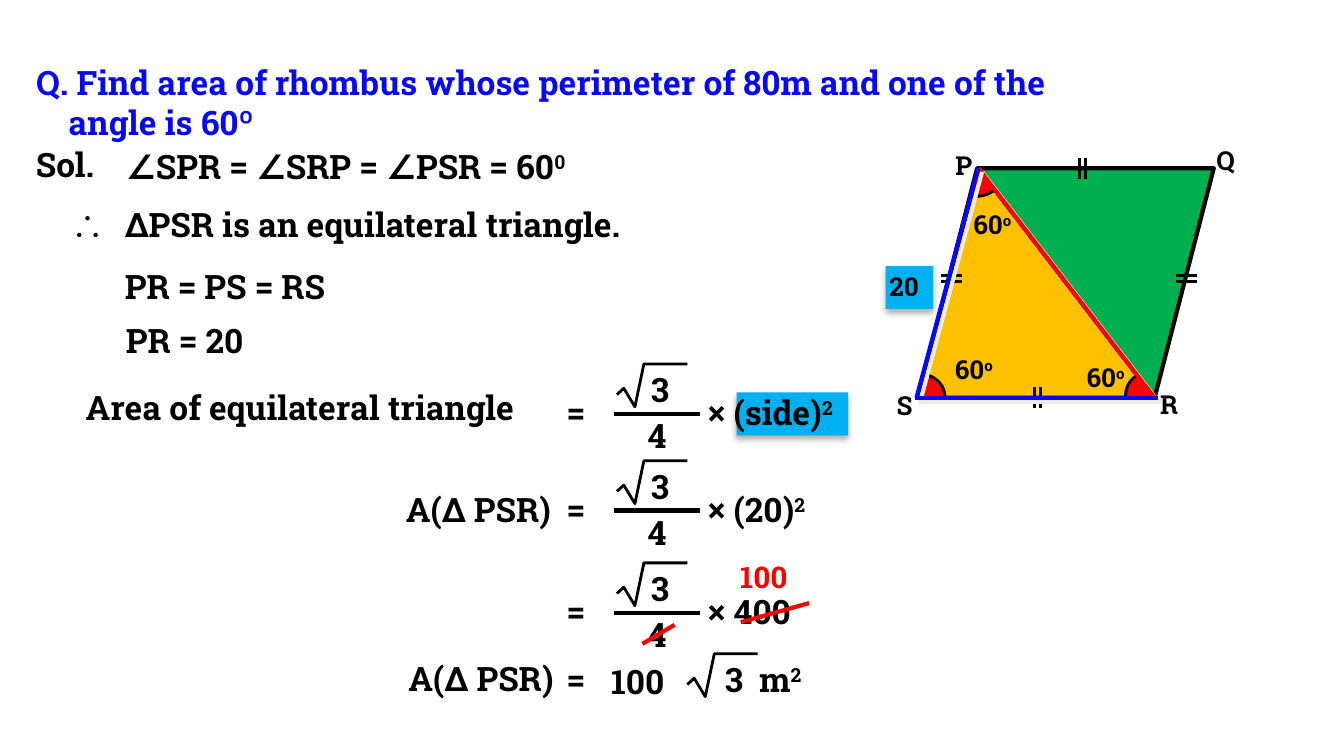
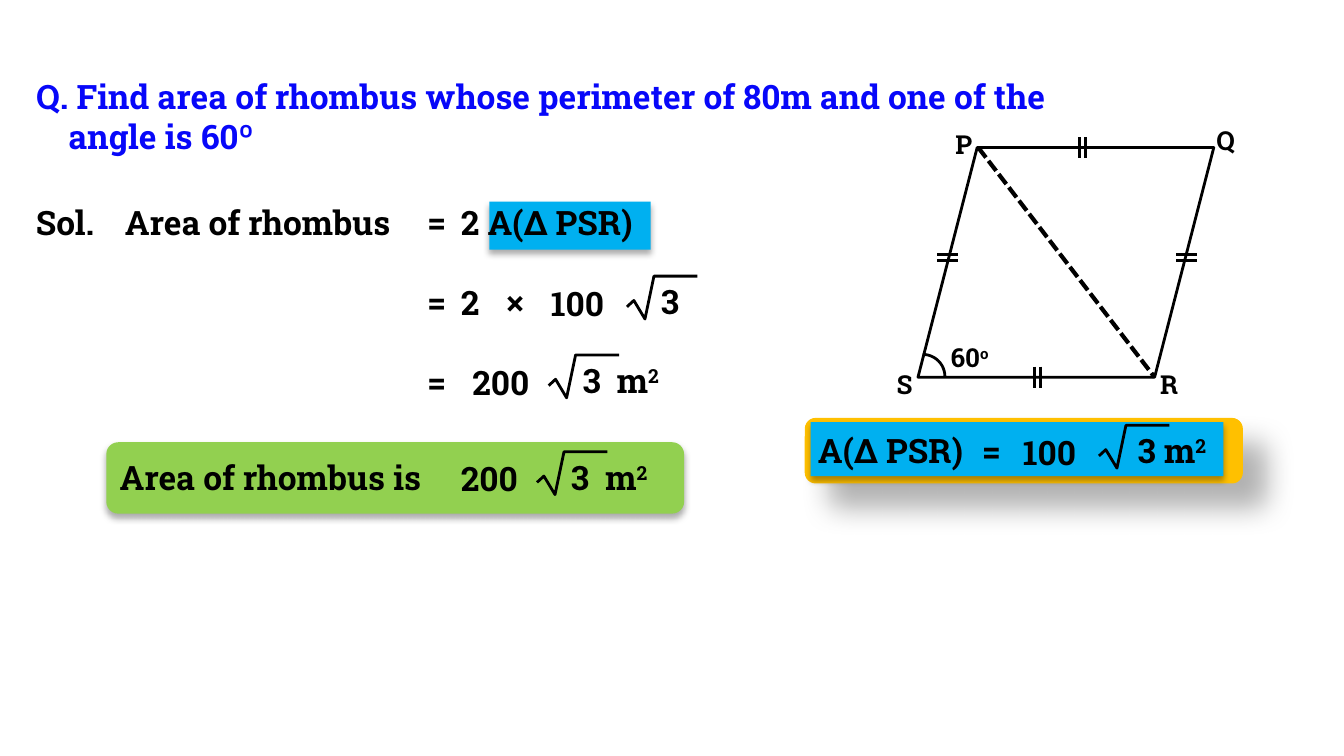
from lxml.etree import SubElement
from pptx import Presentation
from pptx.dml.color import RGBColor
from pptx.enum.dml import MSO_LINE
from pptx.enum.shapes import MSO_CONNECTOR, MSO_SHAPE
from pptx.enum.text import MSO_ANCHOR, MSO_AUTO_SIZE, PP_ALIGN
from pptx.oxml.ns import qn
from pptx.util import Cm, Pt

COLORS = {
    "black": "000000", "question": "0707F9", "red": "FF0000",
    "highlight": "00B0F0", "green": "00B050", "amber": "FFC000",
    "answer": "92D050", "line_shadow": "EEECE1",
}
FONT = "Roboto Slab"
QUESTION = ("Q. Find area of rhombus whose perimeter of 80m and one of the",
            "angle is 60º")
# colour, opacity in percent, blur, distance, angle
CARD_SHADOW = ("black", 32, 3.5, 2.2, 90)
DEEP_SHADOW = ("black", 30, 15, 18, 45)
LINE_SHADOW = ("line_shadow", 100, 0, 2.8, 45)

# Rhombus geometry in cm; heights are measured from side PQ.
RHOMBUS_LEFT, RHOMBUS_WIDTH, RHOMBUS_HEIGHT = 17.35, 5.59, 4.34
DIAGONAL_X = (18.49, 21.82)
CORNERS = (("P", 17.68, -0.48), ("Q", 22.63, -0.57),
           ("R", 21.56, 4.04), ("S", 16.56, 4.05))


def color(name):
    return RGBColor.from_string(COLORS[name])


def format_runs(paragraph, size, color_name, font_name=FONT):
    for run in paragraph.runs:
        run.font.name = font_name
        run.font.size = Pt(size)
        run.font.bold = True
        run.font.color.rgb = color(color_name)


def add_shadow(shape, shadow):
    """Replace the theme shadow by the given one, or by none."""
    properties = shape.element.spPr
    effects = properties.find(qn("a:effectLst"))
    if effects is None:
        effects = SubElement(properties, qn("a:effectLst"))
    if shadow:
        color_name, opacity, blur, distance, angle = shadow
        outer = SubElement(effects, qn("a:outerShdw"), blurRad=str(Pt(blur)),
                           dist=str(Pt(distance)), dir=str(angle * 60000),
                           algn="tl", rotWithShape="0")
        tint = SubElement(outer, qn("a:srgbClr"), val=COLORS[color_name])
        SubElement(tint, qn("a:alpha"), val=str(opacity * 1000))


def style_shape(shape, fill=None, line_width=None, shadow=None):
    shape.shadow.inherit = False
    if fill:
        shape.fill.solid()
        shape.fill.fore_color.rgb = color(fill)
    else:
        shape.fill.background()
    if line_width:
        shape.line.color.rgb = color("black")
        shape.line.width = Pt(line_width)
    else:
        shape.line.fill.background()
    add_shadow(shape, shadow)


def add_preset(shapes, kind, left, top, width, height, **style):
    shape = shapes.add_shape(kind, Cm(left), Cm(top), Cm(width), Cm(height))
    style_shape(shape, **style)
    return shape


def add_outline(shapes, points, close, **style):
    points = [(Cm(x), Cm(y)) for x, y in points]
    builder = shapes.build_freeform(*points[0])
    builder.add_line_segments(points[1:], close=close)
    style_shape(builder.convert_to_shape(), **style)


def add_line(shapes, start, end, color_name="black", width=2.25,
             dashed=False, shadow=None):
    connector = shapes.add_connector(
        MSO_CONNECTOR.STRAIGHT, Cm(start[0]), Cm(start[1]), Cm(end[0]), Cm(end[1]))
    connector.line.color.rgb = color(color_name)
    connector.line.width = Pt(width)
    if dashed:
        connector.line.dash_style = MSO_LINE.SQUARE_DOT
    add_shadow(connector, shadow)


def add_text(shapes, text, left, top, width, size=18, color_name="black",
             align=PP_ALIGN.LEFT, font_name=FONT):
    """Add one line of text; what follows a ^ is raised."""
    box = shapes.add_textbox(Cm(left), Cm(top), Cm(width), Cm(0.04 * size + 0.3))
    frame = box.text_frame
    frame.word_wrap = True
    frame.auto_size = MSO_AUTO_SIZE.SHAPE_TO_FIT_TEXT
    paragraph = frame.paragraphs[0]
    paragraph.alignment = align
    if "\t" in text:
        tabs = SubElement(paragraph._p.get_or_add_pPr(), qn("a:tabLst"))
        SubElement(tabs, qn("a:tab"), pos=str(Cm(0.65)), algn="l")
    base, _, raised = text.partition("^")
    paragraph.text = base
    if raised:
        run = paragraph.add_run()
        run.text = raised
        run._r.get_or_add_rPr().set("baseline", "30000")
    format_runs(paragraph, size, color_name, font_name)


def add_question(slide, top):
    title = slide.shapes.title
    title.left, title.top, title.width, title.height = (
        Cm(0.43), Cm(top), Cm(23.5), Cm(1.8))
    frame = title.text_frame
    frame.text = "\n".join(QUESTION)
    frame.word_wrap = True
    frame.auto_size = MSO_AUTO_SIZE.SHAPE_TO_FIT_TEXT
    frame.vertical_anchor = MSO_ANCHOR.TOP
    for paragraph in frame.paragraphs:
        paragraph.alignment = PP_ALIGN.LEFT
        paragraph.space_before = Pt(0)
        format_runs(paragraph, 18, "question")
    frame.paragraphs[1]._p.get_or_add_pPr().set("marL", str(Cm(0.61)))


def add_equals(shapes, left, top):
    add_text(shapes, "=", left, top, 1.04)


def add_radical(shapes, left, top, radicand="3", gap=0.39):
    sign = ((0, 0.58), (0.13, 0.46), (0.34, 0.81), (0.51, 0), (1.33, 0))
    add_outline(shapes, [(left + x, top + y) for x, y in sign], False, line_width=1.5)
    add_text(shapes, radicand, left + gap, top - 0.03, 2.65 if "m" in radicand else 1)


def add_surd(shapes, number, left, top, radicand="3\tm^2", gap=0.39):
    """Add a whole number followed by a radical."""
    add_text(shapes, number, left, top, 2)
    add_radical(shapes, left + 1.69, top, radicand, gap)


def add_fraction_row(shapes, top, factor):
    add_equals(shapes, 10.46, top)
    add_radical(shapes, 11.66, top - 0.41)
    add_line(shapes, (11.61, top + 0.53), (13.23, top + 0.53))
    add_text(shapes, "4", 11.99, top + 0.43, 0.9)
    add_text(shapes, factor, 13.13, top, 3.6)


def add_angle_label(shapes, left, top):
    add_text(shapes, "60^o", left, top, 1.45, 14, align=PP_ALIGN.CENTER)


def add_side_ticks(shapes, x, y, vertical):
    """Mark a side with two short strokes centred on a point."""
    for shift in (-0.06, 0.06):
        if vertical:
            ends = (x + shift, y - 0.2), (x + shift, y + 0.2)
        else:
            ends = (x - 0.2, y + shift), (x + 0.2, y + shift)
        add_line(shapes, *ends, width=1.5)


def add_rhombus(slide, top, left_tick_x):
    """Draw the labelled rhombus as a group and return the group's shapes."""
    shapes = slide.shapes.add_group_shape().shapes
    bottom, middle = top + RHOMBUS_HEIGHT, top + 2.08
    add_preset(shapes, MSO_SHAPE.FLOWCHART_DATA, RHOMBUS_LEFT, top,
               RHOMBUS_WIDTH, RHOMBUS_HEIGHT, line_width=1.5)
    add_preset(shapes, MSO_SHAPE.ARC, 17.02, top + 3.91, 0.84, 0.84, line_width=1.5)
    for name, x, y in CORNERS:
        add_text(shapes, name, x, top + y, 1.07, 14, align=PP_ALIGN.CENTER)
    add_side_ticks(shapes, 20.46, top, True)
    add_side_ticks(shapes, 19.61, bottom, True)
    add_side_ticks(shapes, left_tick_x, middle, False)
    add_side_ticks(shapes, 22.43, middle, False)
    add_line(shapes, (DIAGONAL_X[0], top), (DIAGONAL_X[1], bottom), dashed=True)
    return shapes


def add_angle_sector(shapes, left, top, width, height, rotation, start, end):
    sector = add_preset(shapes, MSO_SHAPE.ARC, left, top, width, height,
                        fill="red", line_width=1.5)
    sector.rotation = rotation
    sector.adjustments[0] = start
    sector.adjustments[1] = end


def add_triangle_figure(slide):
    shapes = slide.shapes
    top = 3.18
    bottom = top + RHOMBUS_HEIGHT
    corner_p, corner_r = (DIAGONAL_X[0], top), (DIAGONAL_X[1], bottom)
    add_preset(shapes, MSO_SHAPE.FLOWCHART_DATA, RHOMBUS_LEFT, top,
               RHOMBUS_WIDTH, RHOMBUS_HEIGHT, fill="green", line_width=2.25)
    add_outline(shapes, [(RHOMBUS_LEFT, bottom), corner_p, corner_r], True,
                fill="amber", line_width=2.25)
    figure = add_rhombus(slide, top, 17.98)
    for sector in ((17.96, 2.69, 1.02, 1.02, 77.8, 198.88, 15.41),
                   (21.26, 7.04, 1.02, 0.94, 212.4, 196.06, 12.88),
                   (16.89, 7.06, 0.97, 0.89, 11.1, 165.29, 208.52)):
        add_angle_sector(figure, *sector)
    for start, end, color_name in (
            (corner_p, corner_r, "red"),
            (corner_p, (17.32, bottom), "question"),
            ((17.3, bottom), (21.89, bottom), "question")):
        add_line(shapes, start, end, color_name, shadow=LINE_SHADOW)
    for left, label_top in ((17.68, 6.55), (18.03, 3.81), (20.17, 6.71)):
        add_angle_label(shapes, left, label_top)
    add_preset(shapes, MSO_SHAPE.RECTANGLE, 16.74, 5.03, 0.89, 0.81,
               fill="highlight", shadow=CARD_SHADOW)
    add_text(shapes, "20", 16.56, 4.98, 1.42, 14)


def build_triangle_slide(presentation):
    slide = presentation.slides.add_slide(presentation.slide_layouts[5])
    shapes = slide.shapes
    add_question(slide, 1.04)
    add_triangle_figure(slide)
    add_preset(shapes, MSO_SHAPE.RECTANGLE, 13.92, 7.42, 2.11, 0.81,
               fill="highlight", shadow=CARD_SHADOW)
    add_text(shapes, "∴", 1.09, 3.73, 1.07, font_name="Arial")
    for text, left, top, width in (
            ("Sol.", 0.43, 2.59, 1.9),
            ("∠SPR = ∠SRP = ∠PSR = 60^0", 2.13, 2.64, 11.89),
            ("ΔPSR is an equilateral triangle.", 2.11, 3.73, 11.66),
            ("PR = PS = RS", 2.11, 4.9, 5.08),
            ("PR = 20", 2.13, 5.92, 3.35),
            ("Area of equilateral triangle", 1.37, 7.19, 9.86),
            ("A(Δ PSR)", 7.42, 9.12, 3.35),
            ("A(Δ PSR)", 7.47, 12.32, 3.35)):
        add_text(shapes, text, left, top, width)
    for top, factor in ((7.29, "× (side)^2"), (9.12, "× (20)^2"), (11.05, "× 400")):
        add_fraction_row(shapes, top, factor)
    add_line(shapes, (12.14, 12.17), (12.75, 11.81), "red")
    add_line(shapes, (14, 11.76), (15.29, 11.4), "red")
    add_text(shapes, "100", 13.74, 10.44, 1.65, 16, "red")
    add_equals(shapes, 10.46, 12.34)
    add_surd(shapes, "100", 11.3, 12.36, gap=0.46)


def add_known_area(slide):
    add_preset(slide.shapes, MSO_SHAPE.ROUNDED_RECTANGLE, 15.21, 7.9, 8.28, 1.24,
               fill="amber", shadow=DEEP_SHADOW)
    add_preset(slide.shapes, MSO_SHAPE.RECTANGLE, 15.32, 7.98, 7.8, 1.02,
               fill="highlight", shadow=CARD_SHADOW)
    shapes = slide.shapes.add_group_shape().shapes
    add_text(shapes, "A(Δ PSR)", 15.21, 8, 3.35)
    add_equals(shapes, 18.31, 8.03)
    add_surd(shapes, "100", 19.08, 8.04, "3 m^2", 0.48)


def add_final_answer(slide):
    add_preset(slide.shapes, MSO_SHAPE.ROUNDED_RECTANGLE, 2.01, 8.36, 10.92, 1.35,
               fill="answer", shadow=CARD_SHADOW)
    add_text(slide.shapes, "Area of rhombus is", 2.01, 8.51, 9.86)
    add_surd(slide.shapes.add_group_shape().shapes, "200", 8.46, 8.54)


def build_rhombus_slide(presentation):
    slide = presentation.slides.add_slide(presentation.slide_layouts[5])
    shapes = slide.shapes
    add_question(slide, 1.3)
    add_angle_label(add_rhombus(slide, 2.79, 17.91), 17.6, 6.32)
    add_preset(shapes, MSO_SHAPE.RECTANGLE, 9.25, 3.81, 3.05, 0.91,
               fill="highlight", shadow=CARD_SHADOW)
    for text, left, top, width in (
            ("Sol.", 0.43, 3.69, 1.9),
            ("Area of rhombus", 2.11, 3.69, 6.55),
            ("2 A(Δ PSR)", 8.46, 3.7, 4.93),
            ("2", 8.46, 5.21, 1.27),
            ("×", 9.32, 5.21, 1.04)):
        add_text(shapes, text, left, top, width)
    for top in (3.7, 5.21, 6.71):
        add_equals(shapes, 7.83, top)
    add_surd(shapes, "100", 10.16, 5.22, "3")
    add_surd(shapes, "200", 8.68, 6.71)
    add_final_answer(slide)
    add_known_area(slide)


def main():
    presentation = Presentation()
    presentation.slide_width, presentation.slide_height = Cm(25.4), Cm(14.29)
    build_triangle_slide(presentation)
    build_rhombus_slide(presentation)
    presentation.save("out.pptx")


if __name__ == "__main__":
    main()
